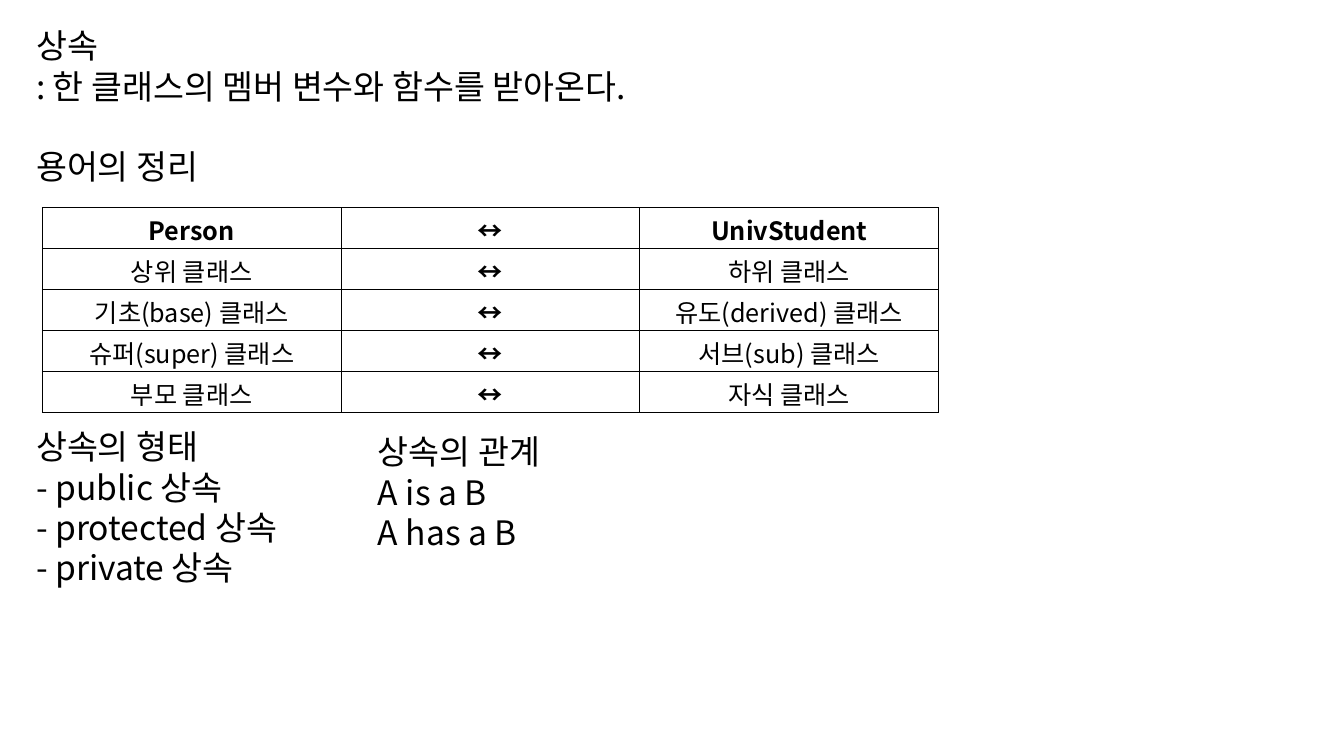
from lxml import etree
from pptx import Presentation
from pptx.dml.color import RGBColor
from pptx.enum import text as t
from pptx.oxml import ns
from pptx.util import Inches, Pt

BLACK = RGBColor(0, 0, 0)
FONT = "Noto Sans CJK KR"
LINE_RATIO = 1.2
TERMS = [
    ("Person", "UnivStudent"),
    ("상위 클래스", "하위 클래스"),
    ("기초(base) 클래스", "유도(derived) 클래스"),
    ("슈퍼(super) 클래스", "서브(sub) 클래스"),
    ("부모 클래스", "자식 클래스"),
]


def write(paragraph, words, size=24, bold=False, align=t.PP_ALIGN.LEFT, before=0):
    paragraph.alignment = align
    paragraph.line_spacing = Pt(size * LINE_RATIO)
    paragraph.space_before = Pt(before)
    run = paragraph.add_run()
    run.text = words
    run.font.size = Pt(size)
    run.font.bold = bold
    run.font.name = FONT
    run.font.color.rgb = BLACK
    east_asian = etree.SubElement(run.font._element, ns.qn("a:ea"))
    east_asian.set("typeface", FONT)


def add_notes_block(slide, left, top, width, height, lines, gaps=()):
    box = slide.shapes.add_textbox(Inches(left), Inches(top), Inches(width), Inches(height))
    frame = box.text_frame
    frame.word_wrap = True
    frame.margin_right = 0
    for index, line in enumerate(lines):
        paragraph = frame.add_paragraph() if index else frame.paragraphs[0]
        write(paragraph, line, before=24 * LINE_RATIO if index in gaps else 0)


def set_borders(cell):
    properties = cell._tc.get_or_add_tcPr()
    for position, side in enumerate(("lnL", "lnR", "lnT", "lnB")):
        border = etree.Element(ns.qn(f"a:{side}"), w=str(Pt(1)))
        fill = etree.SubElement(border, ns.qn("a:solidFill"))
        etree.SubElement(fill, ns.qn("a:srgbClr"), val=str(BLACK))
        properties.insert(position, border)


def add_terms_table(slide, left, top, width, height):
    table = slide.shapes.add_table(
        len(TERMS), 3, Inches(left), Inches(top), Inches(width), Inches(height)
    ).table
    table.first_row = False
    table.horz_banding = False
    for row, (parent, child) in enumerate(TERMS):
        for column, words in enumerate((parent, "↔", child)):
            cell = table.cell(row, column)
            cell.fill.background()
            cell.margin_top = Inches(0.1)
            cell.margin_bottom = 0
            write(cell.text_frame.paragraphs[0], words, size=18,
                  bold=row == 0 or column == 1, align=t.PP_ALIGN.CENTER)
            set_borders(cell)


def main():
    presentation = Presentation()
    presentation.slide_width = Inches(13.33)
    presentation.slide_height = Inches(7.5)
    slide = presentation.slides.add_slide(presentation.slide_layouts[6])
    add_notes_block(slide, 0.26, 0.2, 6.79, 2.12,
                    ["상속", ": 한 클래스의 멤버 변수와 함수를 받아온다.", "용어의 정리"], gaps=(2,))
    add_terms_table(slide, 0.42, 2.06, 8.89, 2.03)
    add_notes_block(slide, 0.26, 4.18, 2.72, 1.72,
                    ["상속의 형태", "- public 상속", "- protected 상속", "- private 상속"])
    add_notes_block(slide, 3.65, 4.23, 2, 1.31, ["상속의 관계", "A is a B", "A has a B"])
    presentation.save("out.pptx")


if __name__ == "__main__":
    main()
